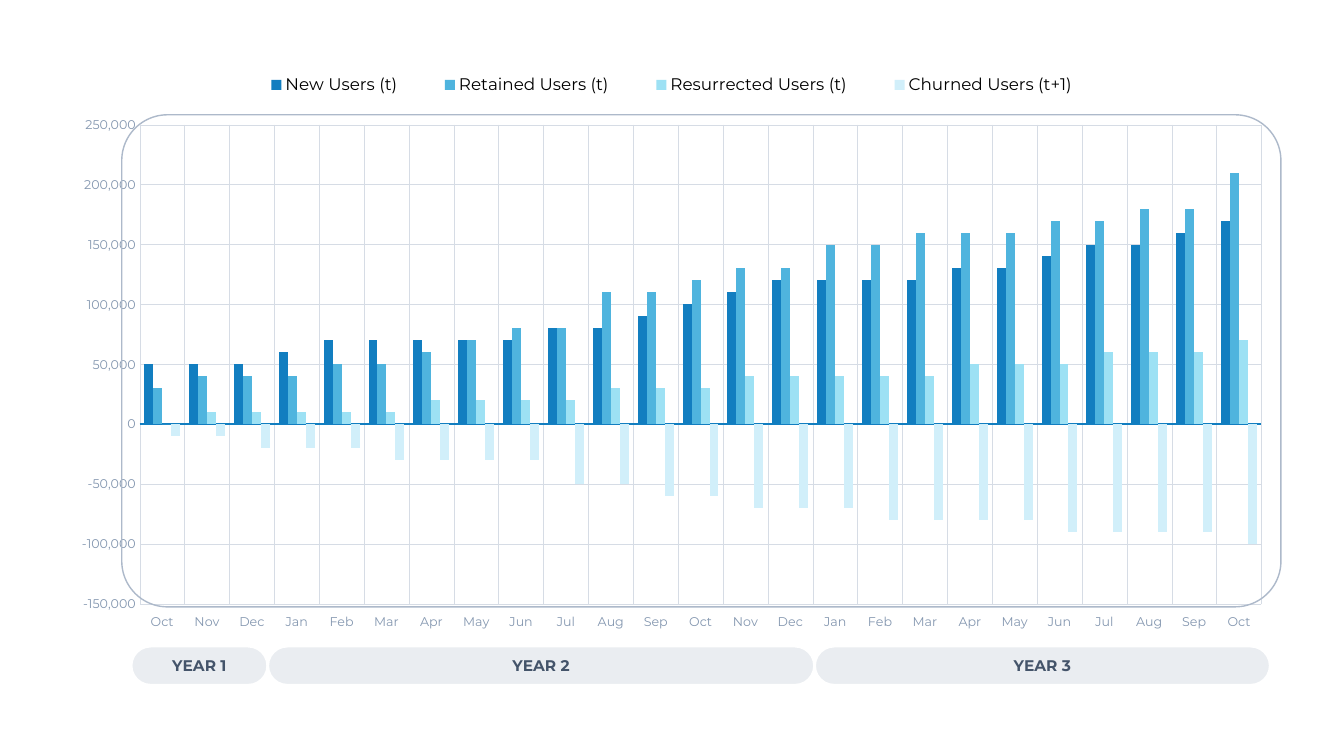
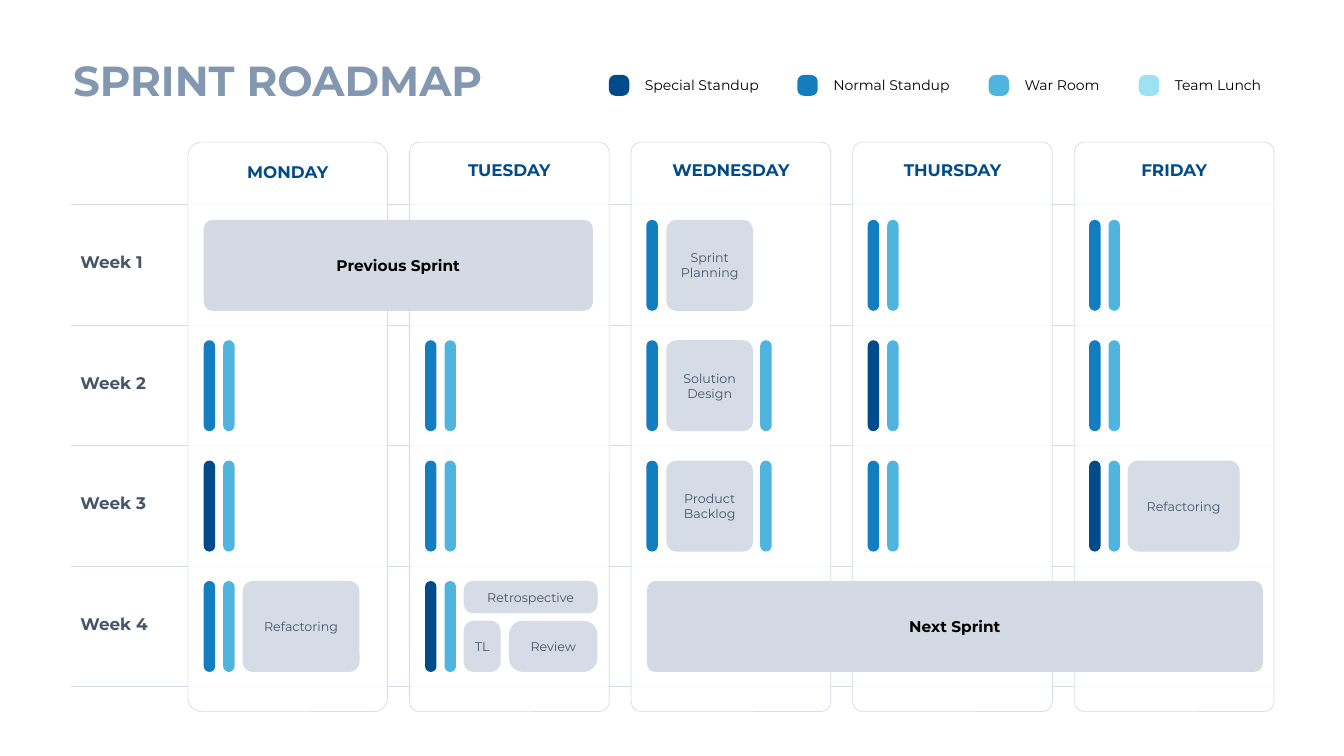
from dataclasses import dataclass
from itertools import accumulate
from typing import NamedTuple

from lxml.etree import SubElement
from pptx import Presentation
from pptx.chart.data import CategoryChartData
from pptx.dml.color import RGBColor
from pptx.enum.chart import XL_CHART_TYPE as ChartType
from pptx.enum.chart import XL_LEGEND_POSITION as LegendPosition
from pptx.enum.chart import XL_TICK_LABEL_POSITION as LabelPosition
from pptx.enum.chart import XL_TICK_MARK as TickMark
from pptx.enum.shapes import MSO_CONNECTOR as Connector
from pptx.enum.shapes import MSO_SHAPE as Preset
from pptx.enum.text import MSO_ANCHOR as Anchor
from pptx.enum.text import MSO_AUTO_SIZE as AutoSize
from pptx.enum.text import PP_ALIGN as Align
from pptx.oxml import parse_xml
from pptx.oxml.ns import nsdecls, qn
from pptx.util import Pt


class TextStyle(NamedTuple):
    size: float
    color: str
    bold: bool = False


@dataclass(frozen=True)
class Theme:
    font: str = "Montserrat"
    navy: str = "014B8A"
    blue: str = "127EC0"
    sky: str = "4FB4DE"
    aqua: str = "9DE1F4"
    ice: str = "D1EFFA"
    slate: str = "44546A"
    steel: str = "8497B0"
    frame: str = "ADB9CA"
    pale: str = "D6DCE5"
    sprint: str = "D4DAE3"
    white: str = "FFFFFF"
    title: TextStyle = TextStyle(30, "8497B0", True)
    week: TextStyle = TextStyle(12, "44546A", True)
    day: TextStyle = TextStyle(12, "014B8A", True)
    year: TextStyle = TextStyle(11, "44546A", True)
    sprint_text: TextStyle = TextStyle(11, "000000", True)
    tile: TextStyle = TextStyle(9, "44546A")
    key: TextStyle = TextStyle(10, "000000")
    axis: TextStyle = TextStyle(9, "8497B0")
    chart: TextStyle = TextStyle(10, "8497B0")
    chart_legend: TextStyle = TextStyle(12, "000000")


THEME = Theme()


class Box(NamedTuple):
    left: float
    top: float
    width: float
    height: float


class Series(NamedTuple):
    name: str
    color: str
    ten_thousands: tuple[int, ...]


class Tile(NamedTuple):
    text: str
    box: Box
    radius: float
    side_inset: float = 7.2
    style: TextStyle = THEME.tile
    fill: str = THEME.pale


class KeyItem(NamedTuple):
    text: str
    color: str
    label_width: float


MONTHS = "Jan Feb Mar Apr May Jun Jul Aug Sep Oct Nov Dec".split()
CATEGORIES = MONTHS[9:] + MONTHS + MONTHS[:10]
YEARS = {"YEAR 1": 3, "YEAR 2": 12, "YEAR 3": 10}
SERIES = (
    Series("New Users (t)", THEME.blue, (5, 5, 5, 6, 7, 7, 7, 7, 7, 8, 8, 9, 10, 11, 12,
                                         12, 12, 12, 13, 13, 14, 15, 15, 16, 17)),
    Series("Retained Users (t)", THEME.sky, (3, 4, 4, 4, 5, 5, 6, 7, 8, 8, 11, 11, 12, 13, 13,
                                             15, 15, 16, 16, 16, 17, 17, 18, 18, 21)),
    Series("Resurrected Users (t)", THEME.aqua, (0, 1, 1, 1, 1, 1, 2, 2, 2, 2, 3, 3, 3, 4, 4,
                                                 4, 4, 4, 5, 5, 5, 6, 6, 6, 7)),
    Series("Churned Users (t+1)", THEME.ice, (-1, -1, -2, -2, -2, -3, -3, -3, -3, -5, -5, -6, -6,
                                              -7, -7, -7, -8, -8, -8, -8, -9, -9, -9, -9, -10)),
)

DAYS = ("MONDAY", "TUESDAY", "WEDNESDAY", "THURSDAY", "FRIDAY")
KEY = (
    KeyItem("Special Standup", THEME.navy, 96.5),
    KeyItem("Normal Standup", THEME.blue, 98.6),
    KeyItem("War Room", THEME.sky, 69.1),
    KeyItem("Team Lunch", THEME.aqua, 77.8),
)
# Meetings per week and day: S special standup, N normal standup, W war room
MEETINGS = (
    ("", "", "N", "NW", "NW"),
    ("NW", "NW", "N", "SW", "NW"),
    ("SW", "NW", "N", "NW", "SW"),
    ("NW", "SW", "", "", ""),
)
MEETING_COLORS = {"S": THEME.navy, "N": THEME.blue, "W": THEME.sky}
LATE_WAR_ROOMS = ((1, 2), (2, 2))

GRID_LEFT, GRID_RIGHT, GRID_TOP = 50.4, 910, 146.2
ROW_STEP, ROW_TOP, ROW_HEIGHT = 86, 157, 65
PILL_WIDTH, PILL_STEP, LATE_OFFSET = 8.2, 13.9, 81.3


def pill_left(day: int) -> float:
    return 145.5 + 158.1 * day


def row_top(week: int) -> float:
    return ROW_TOP + ROW_STEP * week


def row_box(left: float, week: int, width: float) -> Box:
    return Box(left, row_top(week), width, ROW_HEIGHT)


TILES = (
    Tile("Previous Sprint", row_box(145.5, 0, 278), 0.096,
         style=THEME.sprint_text, fill=THEME.sprint),
    *(Tile(text, row_box(475.9, week, 62), 0.113)
      for week, text in enumerate(("Sprint Planning", "Solution Design", "Product Backlog"))),
    Tile("Refactoring", row_box(805.5, 2, 80), 0.113),
    Tile("Refactoring", row_box(173.3, 3, 83.5), 0.113),
    Tile("Retrospective", Box(331.2, row_top(3), 95.6, 23), 0.276),
    Tile("TL", Box(331.2, 443.4, 26.4, 36.6), 0.276, 0),
    Tile("Review", Box(363.6, 443.4, 63.2, 36.6), 0.276, 0),
    Tile("Next Sprint", row_box(462.1, 3, 440), 0.096,
         style=THEME.sprint_text, fill=THEME.sprint),
)


def rgb(color: str) -> RGBColor:
    return RGBColor.from_string(color)


def set_font(font, style: TextStyle) -> None:
    font.name = THEME.font
    font.size = Pt(style.size)
    font.bold = style.bold
    font.color.rgb = rgb(style.color)


def set_line(line, color: str, width: float) -> None:
    line.color.rgb = rgb(color)
    line.width = Pt(width)


def write_text(shape, text: str, style: TextStyle, align=Align.CENTER, anchor=Anchor.MIDDLE,
               insets=(7.2, 3.6, 7.2, 3.6), wrap: bool = True):
    """Fill a shape with one paragraph; insets run left, top, right, bottom."""
    frame = shape.text_frame
    frame.word_wrap = wrap
    frame.vertical_anchor = anchor
    (frame.margin_left, frame.margin_top,
     frame.margin_right, frame.margin_bottom) = map(Pt, insets)
    paragraph = frame.paragraphs[0]
    paragraph.text = text
    paragraph.alignment = align
    set_font(paragraph.font, style)
    return paragraph


def add_label(slide, box: Box, text: str, style: TextStyle, **options):
    shape = slide.shapes.add_textbox(*map(Pt, box))
    paragraph = write_text(shape, text, style, **options)
    shape.text_frame.auto_size = AutoSize.SHAPE_TO_FIT_TEXT
    return paragraph


def add_rounded(slide, box: Box, radius: float = 0.5, fill: str | None = None,
                opacity: int = 100, line: tuple[str, float] | None = None):
    shape = slide.shapes.add_shape(Preset.ROUNDED_RECTANGLE, *map(Pt, box))
    shape.shadow.inherit = False
    shape.adjustments[0] = radius
    if fill:
        shape.fill.solid()
        shape.fill.fore_color.rgb = rgb(fill)
        if opacity < 100:
            color = shape.element.spPr.find(qn("a:solidFill"))[0]
            SubElement(color, qn("a:alpha")).set("val", str(opacity * 1000))
    else:
        shape.fill.background()
    if line:
        set_line(shape.line, *line)
    else:
        shape.line.fill.background()
    return shape


def manual_layout(x: float, y: float, width: float, height: float, inner: bool = False):
    target = '<c:layoutTarget val="inner"/>' if inner else ""
    return parse_xml(
        f'<c:layout {nsdecls("c")}><c:manualLayout>{target}'
        '<c:xMode val="edge"/><c:yMode val="edge"/>'
        f'<c:x val="{x}"/><c:y val="{y}"/><c:w val="{width}"/><c:h val="{height}"/>'
        "</c:manualLayout></c:layout>")


def place_chart_parts(chart) -> None:
    """Fix the plot area and the legend at set fractions of the chart."""
    plot_area = chart.element.find(".//" + qn("c:plotArea"))
    legend = chart.element.find(".//" + qn("c:legend"))
    for parent in (plot_area, legend):
        for layout in parent.findall(qn("c:layout")):
            parent.remove(layout)
    plot_area.insert(0, manual_layout(0.067, 0.095, 0.913, 0.84, inner=True))
    legend.find(qn("c:legendPos")).addnext(manual_layout(0.14, 0, 0.72, 0.05))


def add_users_chart(slide) -> None:
    data = CategoryChartData(number_format="#,##0")
    data.categories = CATEGORIES
    for series in SERIES:
        data.add_series(series.name, [value * 10_000 for value in series.ten_thousands])
    chart = slide.shapes.add_chart(
        ChartType.COLUMN_CLUSTERED, Pt(41), Pt(50.4), Pt(877.7), Pt(407.5), data).chart
    chart.has_title = False
    set_font(chart.font, THEME.chart)
    chart.has_legend = True
    chart.legend.position = LegendPosition.TOP
    chart.legend.include_in_layout = False
    set_font(chart.legend.font, THEME.chart_legend)

    plot = chart.plots[0]
    plot.gap_width, plot.overlap, plot.vary_by_categories = 100, 0, False
    for series, drawn in zip(SERIES, plot.series):
        drawn.invert_if_negative = False
        drawn.format.fill.solid()
        drawn.format.fill.fore_color.rgb = rgb(series.color)

    months, users = chart.category_axis, chart.value_axis
    for axis in (months, users):
        axis.major_tick_mark = axis.minor_tick_mark = TickMark.NONE
        axis.has_major_gridlines = True
        set_line(axis.major_gridlines.format.line, THEME.pale, 0.25)
        set_font(axis.tick_labels.font, THEME.axis)
    months.tick_label_position = LabelPosition.LOW
    set_line(months.format.line, THEME.blue, 1)
    users.format.line.fill.background()
    users.minimum_scale, users.maximum_scale, users.major_unit = -150_000, 250_000, 50_000
    users.tick_labels.number_format = "#,##0"
    users.tick_labels.number_format_is_linked = False
    place_chart_parts(chart)


def build_users_slide(slide) -> None:
    add_users_chart(slide)
    month_width = 32.55
    starts = accumulate(YEARS.values(), initial=0)
    for start, (year, months) in zip(starts, YEARS.items()):
        box = Box(93.6 + start * month_width, 461.5, months * month_width, 28)
        band = add_rounded(slide, box, fill=THEME.pale, opacity=50, line=(THEME.white, 2))
        write_text(band, year, THEME.year)
    add_rounded(slide, Box(87, 82, 828, 351.5), 0.093, line=(THEME.frame, 1))


def add_title(slide) -> None:
    paragraph = add_label(slide, Box(50.4, 31.7, 310.3, 51), "SPRINT ROADMAP", THEME.title,
                          insets=(0, 7.2, 14.4, 7.2), wrap=False)
    fill = paragraph.font.fill
    fill.gradient()
    fill.gradient_angle = 270
    for stop, color in zip(fill.gradient_stops, (THEME.steel, THEME.slate)):
        stop.color.rgb = rgb(color)


def add_calendar(slide) -> None:
    for row in range(5):
        y = Pt(GRID_TOP + ROW_STEP * row)
        rule = slide.shapes.add_connector(Connector.STRAIGHT, Pt(GRID_LEFT), y, Pt(GRID_RIGHT), y)
        set_line(rule.line, THEME.pale, 0.5)
        SubElement(rule.element.spPr, qn("a:effectLst"))
    for week in range(4):
        add_label(slide, Box(GRID_LEFT, 180 + ROW_STEP * week, 76.3, 18), f"Week {week + 1}",
                  THEME.week, align=Align.LEFT, insets=(7.2, 0, 7.2, 3.6))
    for index, day in enumerate(DAYS):
        column = add_rounded(slide, Box(134.2 + 158.3 * index, 101.5, 142.6, 406.8),
                             0.048 if index else 0.07, THEME.white, 80, (THEME.pale, 0.5))
        write_text(column, day, THEME.day, anchor=Anchor.TOP, insets=(7.2, 10.8, 7.2, 3.6))


def add_meetings(slide) -> None:
    pills = [(week, day, slot * PILL_STEP, code)
             for week, days in enumerate(MEETINGS)
             for day, codes in enumerate(days)
             for slot, code in enumerate(codes)]
    pills += [(week, day, LATE_OFFSET, "W") for week, day in LATE_WAR_ROOMS]
    for week, day, offset, code in pills:
        add_rounded(slide, row_box(pill_left(day) + offset, week, PILL_WIDTH),
                    fill=MEETING_COLORS[code])


def add_key(slide) -> None:
    left, swatch_step, gap = 434.9, 18.7, 19.4
    for item in KEY:
        add_rounded(slide, Box(left, 53.5, 14.6, 15), 0.33, item.color)
        add_label(slide, Box(left + swatch_step, 51.3, item.label_width, 19.4), item.text,
                  THEME.key, align=Align.LEFT, anchor=Anchor.TOP, wrap=False)
        left += swatch_step + item.label_width + gap


def build_roadmap_slide(slide) -> None:
    add_title(slide)
    add_calendar(slide)
    add_meetings(slide)
    for tile in TILES:
        shape = add_rounded(slide, tile.box, tile.radius, tile.fill)
        write_text(shape, tile.text, tile.style,
                   insets=(tile.side_inset, 3.6, tile.side_inset, 3.6))
    add_key(slide)


def main() -> None:
    presentation = Presentation()
    presentation.slide_width, presentation.slide_height = Pt(960), Pt(540)
    blank = presentation.slide_layouts[6]
    for build in (build_users_slide, build_roadmap_slide):
        build(presentation.slides.add_slide(blank))
    presentation.save("out.pptx")


if __name__ == "__main__":
    main()
